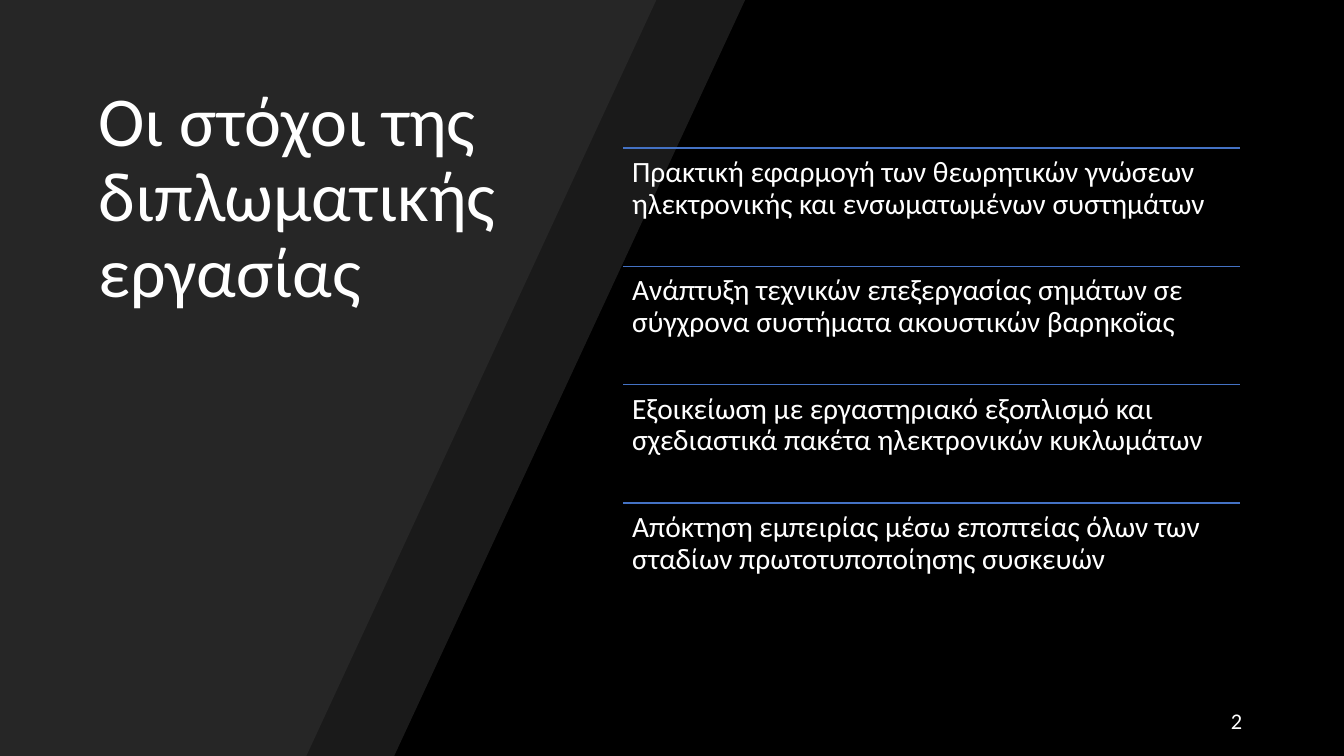
"""Build the slide that lists the goals of the thesis."""
from dataclasses import dataclass

import lxml.etree
import pptx
import pptx.dml.color
import pptx.enum.shapes
import pptx.enum.text
import pptx.oxml.ns
import pptx.util

ANCHOR = pptx.enum.text.MSO_ANCHOR
ALIGN = pptx.enum.text.PP_ALIGN
WIDTH = pptx.util.Inches(13.33)
HEIGHT = pptx.util.Inches(7.5)


@dataclass(frozen=True)
class Theme:
    """Hold the colours, font and type sizes."""
    background: str = "000000"
    panel: str = "262626"
    rule: str = "4472C4"
    text: str = "FFFFFF"
    font: str = "Calibri"
    title_size: int = 50
    goal_size: int = 21
    number_size: int = 16


THEME = Theme()
TITLE = "Οι στόχοι της διπλωματικής εργασίας"
GOALS = (
    "Πρακτική εφαρμογή των θεωρητικών γνώσεων ηλεκτρονικής και ενσωματωμένων συστημάτων",
    "Ανάπτυξη τεχνικών επεξεργασίας σημάτων σε σύγχρονα συστήματα ακουστικών βαρηκοΐας",
    "Εξοικείωση με εργαστηριακό εξοπλισμό και σχεδιαστικά πακέτα ηλεκτρονικών κυκλωμάτων",
    "Απόκτηση εμπειρίας μέσω εποπτείας όλων των σταδίων πρωτοτυποποίησης συσκευών",
)
GOALS_LEFT, GOALS_TOP, GOALS_WIDTH, GOAL_HEIGHT = 46.36, 19.6, 45.91, 15.64


def across(percent):
    """Turn a percentage of the slide's width into a length."""
    return round(WIDTH * percent / 100)


def down(percent):
    """Turn a percentage of the slide's height into a length."""
    return round(HEIGHT * percent / 100)


def colour(value):
    """Return a colour object for a hex value."""
    return pptx.dml.color.RGBColor.from_string(value)


def add_panel(shapes, top_edge, bottom_edge, opacity=100):
    """Add a slanted panel that starts at the left edge of the slide."""
    outline = shapes.build_freeform(0, 0)
    outline.add_line_segments(
        [(across(top_edge), 0), (across(bottom_edge), HEIGHT), (0, HEIGHT)])
    panel = outline.convert_to_shape()
    panel.shadow.inherit = False
    panel.line.fill.background()
    panel.fill.solid()
    panel.fill.fore_color.rgb = colour(THEME.panel)
    if opacity < 100:
        tint = panel.fill._xPr.find(".//" + pptx.oxml.ns.qn("a:srgbClr"))
        alpha = lxml.etree.SubElement(tint, pptx.oxml.ns.qn("a:alpha"))
        alpha.set("val", str(opacity * 1000))


def add_text(shapes, box, text, size, anchor=ANCHOR.TOP, align=ALIGN.LEFT, spacing=0.9):
    """Add a wrapped text box and return its text frame."""
    left, top, width, height = box
    frame = shapes.add_textbox(
        across(left), down(top), across(width), down(height)).text_frame
    frame.word_wrap = True
    frame.vertical_anchor = anchor
    frame.text = text
    paragraph = frame.paragraphs[0]
    paragraph.alignment = align
    paragraph.line_spacing = spacing
    font = paragraph.runs[0].font
    font.name = THEME.font
    font.size = pptx.util.Pt(size)
    font.color.rgb = colour(THEME.text)
    return frame


def add_rule(shapes, left, top, width):
    """Add a thin horizontal line."""
    rule = shapes.add_connector(
        pptx.enum.shapes.MSO_CONNECTOR.STRAIGHT,
        across(left), down(top), across(left + width), down(top))
    rule.line.color.rgb = colour(THEME.rule)
    rule.line.width = pptx.util.Pt(1)
    lxml.etree.SubElement(rule._element.spPr, pptx.oxml.ns.qn("a:effectLst"))


def add_goal(shapes, row, goal):
    """Add one ruled goal at its row of the list."""
    top = GOALS_TOP + row * GOAL_HEIGHT
    add_rule(shapes, GOALS_LEFT, top, GOALS_WIDTH)
    frame = add_text(
        shapes, (GOALS_LEFT, top, GOALS_WIDTH, GOAL_HEIGHT), goal, THEME.goal_size)
    inset = pptx.util.Inches(0.09)
    frame.margin_left = frame.margin_right = inset
    frame.margin_top = frame.margin_bottom = inset


def main():
    """Build and save the slide."""
    deck = pptx.Presentation()
    deck.slide_width, deck.slide_height = WIDTH, HEIGHT
    slide = deck.slides.add_slide(deck.slide_layouts[6])
    backdrop = slide.background.fill
    backdrop.solid()
    backdrop.fore_color.rgb = colour(THEME.background)

    add_panel(slide.shapes, 55.44, 29.33, opacity=70)
    add_panel(slide.shapes, 48.84, 22.8)
    add_text(slide.shapes, (6.6, 4.93, 34.51, 37.07), TITLE, THEME.title_size,
             anchor=ANCHOR.BOTTOM)
    number = add_text(slide.shapes, (89.42, 92.67, 3.75, 5.33), "2", THEME.number_size,
                      anchor=ANCHOR.MIDDLE, align=ALIGN.RIGHT, spacing=1.0)
    number.paragraphs[0].space_after = pptx.util.Pt(6)

    goal_list = slide.shapes.add_group_shape()
    for row, goal in enumerate(GOALS):
        add_goal(goal_list.shapes, row, goal)
    deck.save("out.pptx")


if __name__ == "__main__":
    main()
